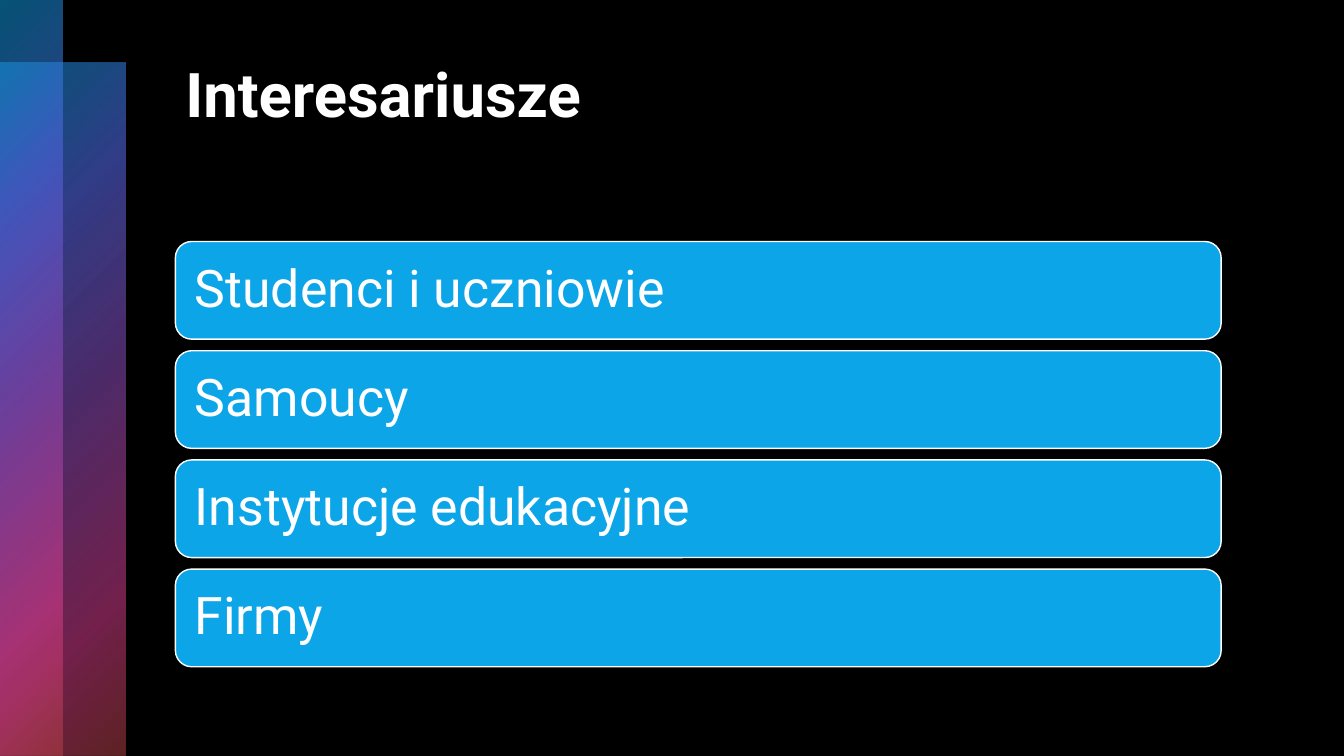
"""Builds the stakeholder slide with its gradient side bands."""
from dataclasses import dataclass

import lxml.etree
import pptx
import pptx.dml.color
import pptx.dml.fill
import pptx.enum.shapes
import pptx.enum.text
import pptx.oxml.ns
import pptx.slide
import pptx.text.text
import pptx.util

EMU_PER_PX = 9525
FONT = "Roboto"
WHITE, BLACK, BLUE = "FFFFFF", "000000", "0BA5E8"

STAKEHOLDERS = ["Studenci i uczniowie", "Samoucy", "Instytucje edukacyjne", "Firmy"]
STAKEHOLDER_TOP, STAKEHOLDER_PITCH = 230, 104


@dataclass(frozen=True)
class Box:
    left: int
    top: int
    width: int
    height: int

    def emu(self) -> tuple[int, int, int, int]:
        return px(self.left), px(self.top), px(self.width), px(self.height)


@dataclass(frozen=True)
class Stop:
    position: int
    colour: str
    opacity: int


@dataclass(frozen=True)
class Band:
    box: Box
    middle_stop: int


BANDS = [Band(Box(0, 60, 119, 660), 50), Band(Box(0, 0, 60, 720), 49)]


def px(length: int) -> int:
    return pptx.util.Emu(length * EMU_PER_PX)


def rgb(colour: str) -> pptx.dml.color.RGBColor:
    return pptx.dml.color.RGBColor.from_string(colour)


def paint(fill: pptx.dml.fill.FillFormat, colour: str) -> None:
    fill.solid()
    fill.fore_color.rgb = rgb(colour)


def write(frame: pptx.text.text.TextFrame, wording: str, size: int, bold: bool) -> None:
    frame.text = wording
    frame.word_wrap = True
    frame.auto_size = pptx.enum.text.MSO_AUTO_SIZE.NONE
    paragraph = frame.paragraphs[0]
    paragraph.alignment = pptx.enum.text.PP_ALIGN.LEFT
    font = paragraph.runs[0].font
    font.name, font.size, font.bold = FONT, pptx.util.Pt(size), bold
    font.color.rgb = rgb(WHITE)


def radial_gradient(stops: list[Stop]) -> lxml.etree._Element:
    qn = pptx.oxml.ns.qn
    gradient = lxml.etree.Element(qn("a:gradFill"), rotWithShape="1")
    stop_list = lxml.etree.SubElement(gradient, qn("a:gsLst"))
    for stop in stops:
        entry = lxml.etree.SubElement(stop_list, qn("a:gs"), pos=str(stop.position * 1000))
        colour = lxml.etree.SubElement(entry, qn("a:srgbClr"), val=stop.colour)
        lxml.etree.SubElement(colour, qn("a:alpha"), val=str(stop.opacity * 1000))
    circle = lxml.etree.SubElement(gradient, qn("a:path"), path="circle")
    lxml.etree.SubElement(circle, qn("a:fillToRect"), r="100000", b="100000")
    return gradient


def draw_band(slide: pptx.slide.Slide, band: Band) -> None:
    strip = slide.shapes.add_shape(pptx.enum.shapes.MSO_SHAPE.RECTANGLE, *band.box.emu())
    strip.shadow.inherit = False
    strip.line.fill.background()
    strip.fill.background()
    properties = strip._element.spPr
    properties.replace(
        properties.find(pptx.oxml.ns.qn("a:noFill")),
        radial_gradient([
            Stop(0, BLUE, 50),
            Stop(25, "5066E1", 60),
            Stop(band.middle_stop, "894EC0", 55),
            Stop(81, "E54196", 50),
            Stop(99, "BE4449", 50),
        ]),
    )


def draw_title(slide: pptx.slide.Slide, wording: str) -> None:
    title = slide.shapes.title
    title.left, title.top, title.width, title.height = Box(167, 48, 996, 163).emu()
    write(title.text_frame, wording, 44, True)
    title.text_frame.vertical_anchor = pptx.enum.text.MSO_ANCHOR.TOP


def draw_stakeholder(slide: pptx.slide.Slide, wording: str, box: Box) -> None:
    bar = slide.shapes.add_shape(pptx.enum.shapes.MSO_SHAPE.ROUNDED_RECTANGLE, *box.emu())
    bar.shadow.inherit = False
    paint(bar.fill, BLUE)
    paint(bar.line.fill, WHITE)
    bar.line.width = pptx.util.Pt(1)
    frame = bar.text_frame
    write(frame, wording, 37, False)
    frame.vertical_anchor = pptx.enum.text.MSO_ANCHOR.MIDDLE
    frame.margin_left = frame.margin_right = px(14)
    frame.margin_top = frame.margin_bottom = px(14)
    frame.paragraphs[0].line_spacing = 0.9


def main() -> None:
    presentation = pptx.Presentation()
    presentation.slide_width, presentation.slide_height = px(1280), px(720)
    slide = presentation.slides.add_slide(presentation.slide_layouts.get_by_name("Title Only"))
    paint(slide.background.fill, BLACK)
    for band in BANDS:
        draw_band(slide, band)
    draw_title(slide, "Interesariusze")
    for row, stakeholder in enumerate(STAKEHOLDERS):
        top = STAKEHOLDER_TOP + row * STAKEHOLDER_PITCH
        draw_stakeholder(slide, stakeholder, Box(167, top, 996, 93))
    presentation.save("out.pptx")


if __name__ == "__main__":
    main()
